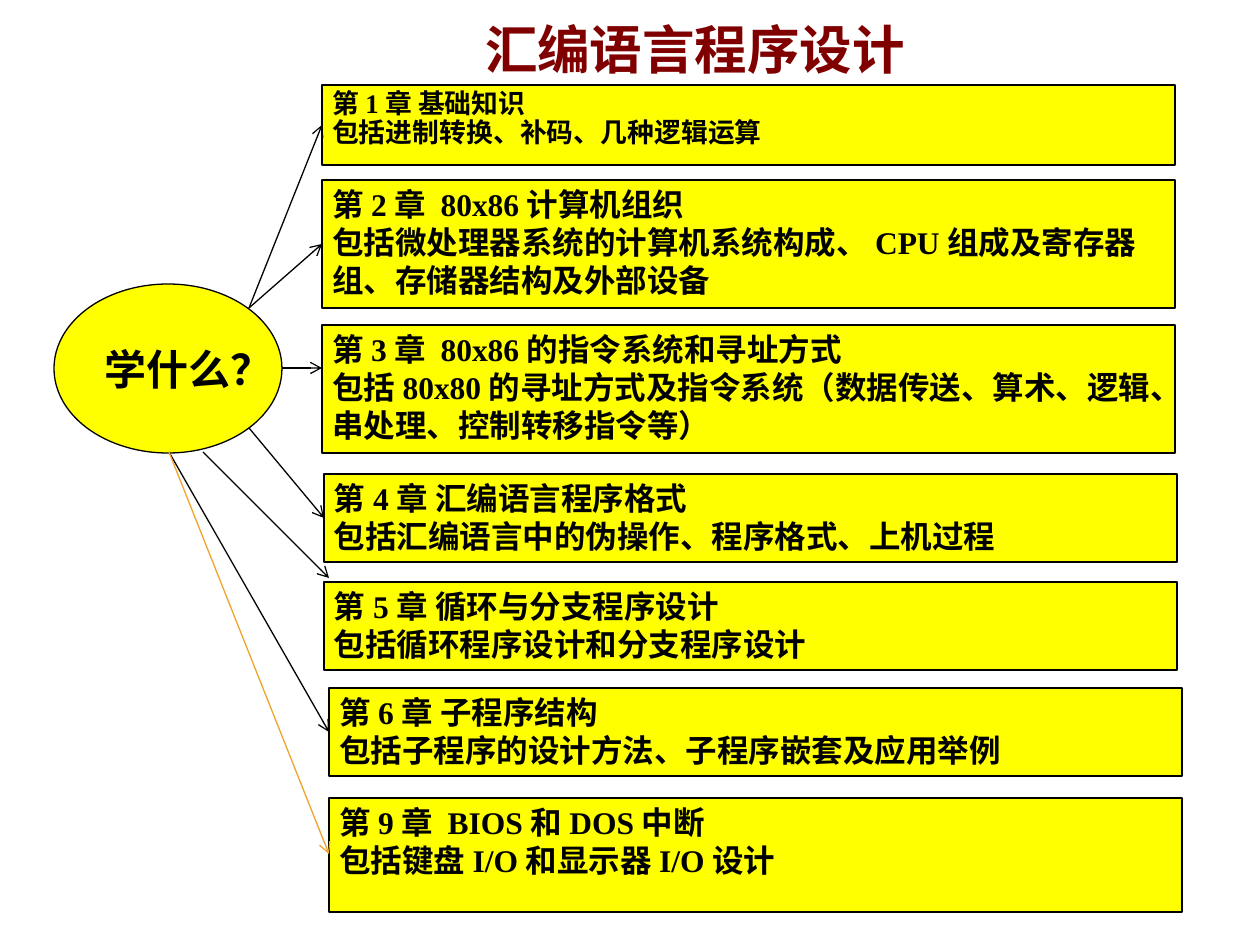
from pptx import Presentation
from pptx.util import Pt
from pptx.dml.color import RGBColor
from pptx.enum.shapes import MSO_SHAPE as SHAPE, MSO_CONNECTOR as CONN
from pptx.enum.text import PP_ALIGN as ALIGN, MSO_ANCHOR as ANCHOR
from pptx.oxml.ns import qn
from lxml.etree import SubElement

EMU_PER_PX = 914400 / 126
YELLOW, BLACK, MAROON, ORANGE = "FFFF00", "000000", "800000", "F0A22E"
BODY = "Times New Roman"

# chapter box (x, y, w, h), text lines, arrow start, arrow end offset from the box, colour
CHAPTERS = [
    ((322, 85, 853, 80), ["第1章 基础知识", "包括进制转换、补码、几种逻辑运算"],
     (249, 308), (0, 40), BLACK),
    ((322, 180, 853, 128), ["第2章 80x86计算机组织",
     "包括微处理器系统的计算机系统构成、CPU组成及寄存器组、存储器结构及外部设备"],
     (249, 308), (0, 64), BLACK),
    ((322, 325, 853, 128), ["第3章 80x86的指令系统和寻址方式",
     "包括80x80的寻址方式及指令系统（数据传送、算术、逻辑、串处理、控制转移指令等）"],
     (282, 368), (0, 43), BLACK),
    ((324, 474, 853, 88), ["第4章 汇编语言程序格式", "包括汇编语言中的伪操作、程序格式、上机过程"],
     (249, 428), (0, 44), BLACK),
    ((324, 582, 853, 88), ["第5章 循环与分支程序设计", "包括循环程序设计和分支程序设计"],
     (203, 452), (5, -4), BLACK),
    ((329, 688, 853, 88), ["第6章 子程序结构", "包括子程序的设计方法、子程序嵌套及应用举例"],
     (169, 452), (0, 44), BLACK),
    ((329, 798, 853, 114), ["第9章 BIOS和DOS中断", "包括键盘I/O和显示器I/O设计"],
     (169, 452), (0, 56), ORANGE),
]


def px(n):
    return round(n * EMU_PER_PX)


def rgb(color):
    return RGBColor.from_string(color)


def add_lines(tf, lines, size, font, color, align=ALIGN.LEFT, spacing=None):
    tf.word_wrap = True
    for i, line in enumerate(lines):
        p = tf.paragraphs[0] if i == 0 else tf.add_paragraph()
        p.alignment = align
        p.line_spacing = spacing
        r = p.add_run()
        r.text = line
        r.font.size, r.font.bold, r.font.name = Pt(size), True, font
        r.font.color.rgb = rgb(color)


def add_yellow(s, kind, box):
    sp = s.shapes.add_shape(kind, *map(px, box))
    sp.shadow.inherit = False
    sp.fill.solid()
    sp.fill.fore_color.rgb = rgb(YELLOW)
    sp.line.color.rgb = rgb(BLACK)
    sp.line.width = Pt(0.75)
    tf = sp.text_frame
    tf.margin_left = tf.margin_right = px(10)
    tf.margin_top = tf.margin_bottom = px(5)
    return sp


def add_arrow(s, start, end, color):
    cn = s.shapes.add_connector(CONN.STRAIGHT, *map(px, start + end))
    cn.line.color.rgb = rgb(color)
    cn.line.width = Pt(0.75)
    SubElement(cn.line._get_or_add_ln(), qn("a:tailEnd"), type="arrow")
    SubElement(cn._element.spPr, qn("a:effectLst"))


def add_title(s, box):
    tf = s.shapes.add_textbox(*map(px, box)).text_frame
    tf.vertical_anchor = ANCHOR.MIDDLE
    add_lines(tf, ["汇编语言程序设计"], 30, "Arial", MAROON, ALIGN.CENTER)


def add_question(s, box):
    tf = add_yellow(s, SHAPE.OVAL, box).text_frame
    tf.vertical_anchor = ANCHOR.MIDDLE
    add_lines(tf, ["学什么？"], 24, BODY, BLACK, ALIGN.CENTER)


def add_chapter(s, box, lines, start, offset, color, size=18, spacing=None):
    tf = add_yellow(s, SHAPE.RECTANGLE, box).text_frame
    tf.vertical_anchor = ANCHOR.TOP
    add_lines(tf, lines, size, BODY, BLACK, spacing=spacing)
    add_arrow(s, start, (box[0] + offset[0], box[1] + offset[1]), color)


def main():
    prs = Presentation()
    prs.slide_width, prs.slide_height = px(1260), px(945)
    s = prs.slides.add_slide(prs.slide_layouts[6])

    # Title and central question
    add_title(s, (270, 1, 850, 94))
    add_question(s, (54, 284, 228, 169))

    # Chapters; the first is set tighter
    add_chapter(s, *CHAPTERS[0], size=15.3, spacing=0.9)
    for chapter in CHAPTERS[1:]:
        add_chapter(s, *chapter)

    prs.save("out.pptx")


if __name__ == "__main__":
    main()
